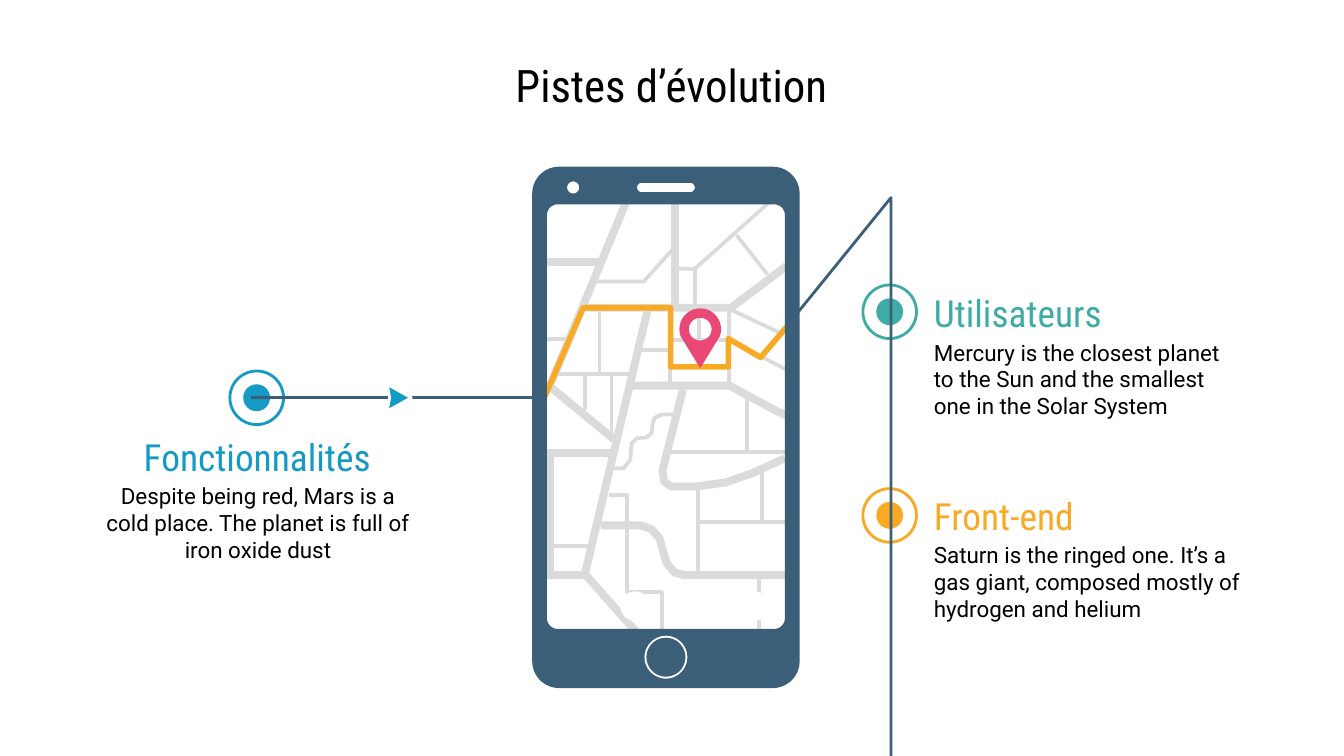
from math import cos, radians, sin

from lxml.etree import SubElement
from pptx import Presentation
from pptx.dml.color import RGBColor
from pptx.enum.shapes import MSO_CONNECTOR as Connector, MSO_SHAPE as Preset
from pptx.enum.text import MSO_ANCHOR as Anchor, PP_ALIGN as Align
from pptx.oxml.ns import qn
from pptx.util import Inches, Pt

COLORS = {"black": "000000", "white": "FFFFFF", "blue": "159AC6", "teal": "3FABA5",
          "orange": "F8AA25", "navy": "3C5F79", "gray": "DBDBDB", "pink": "E94974"}
RGB = {name: RGBColor.from_string(value) for name, value in COLORS.items()}

presentation = Presentation()
presentation.slide_width, presentation.slide_height = Inches(10), Inches(5.625)
slide = presentation.slides.add_slide(presentation.slide_layouts[6])
shapes = slide.shapes

# Square grid: 100 columns across the slide; every length below is in cells
CELL = presentation.slide_width // 100


def add_text(text, left, top, width, height, size=12, font="Roboto",
             color="black", align=Align.LEFT, anchor=Anchor.MIDDLE):
    box = shapes.add_textbox(*(round(n * CELL) for n in (left, top, width, height)))
    frame = box.text_frame
    frame.word_wrap = True
    frame.vertical_anchor = anchor
    frame.margin_left = frame.margin_right = frame.margin_top = frame.margin_bottom = CELL
    paragraph = frame.paragraphs[0]
    paragraph.alignment = align
    run = paragraph.add_run()
    run.text = text
    run.font.size, run.font.name = Pt(size), font
    run.font.color.rgb = RGB[color]


def add_outline(contours, fill=None, line=None, weight=1.5):
    """One freeform from several contours; filled ones are closed."""
    builder = None
    for contour in contours:
        (x, y), *rest = [(px * CELL, py * CELL) for px, py in contour]
        if builder is None:
            builder = shapes.build_freeform(x, y)
        else:
            builder.move_to(x, y)
        builder.add_line_segments(rest, close=fill is not None)
    shape = builder.convert_to_shape()
    shape.shadow.inherit = False
    if fill:
        shape.fill.solid()
        shape.fill.fore_color.rgb = RGB[fill]
    else:
        shape.fill.background()
    if line:
        shape.line.color.rgb = RGB[line]
        shape.line.width = Pt(weight)
    else:
        shape.line.fill.background()


# Title
CONDENSED = "Roboto Condensed"
add_text("Pistes d’évolution", 23.2, 4.2, 53.5, 4.2, size=24, font=CONDENSED,
         align=Align.CENTER)

# Topics: marker centre, heading box left/top/width, body left, alignment
topics = [
    ("Fonctionnalités", "Despite being red, Mars is a cold place. The planet is full of iron oxide dust",
     "blue", 19.1, 29.6, 9.5, 32.1, 19.3, 6.8, Align.CENTER),
    ("Utilisateurs", "Mercury is the closest planet to the Sun and the smallest one in the Solar System",
     "teal", 66.2, 23.2, 68.5, 21.4, 16.6, 68.5, Align.LEFT),
    ("Front-end", "Saturn is the ringed one. It’s a gas giant, composed mostly of hydrogen and helium",
     "orange", 66.2, 38.35, 68.5, 36.5, 16.6, 68.5, Align.LEFT),
]
# Preset shapes: kind, centre x, centre y, width, height, colour
presets = []
for heading, body, color, x, y, left, top, width, body_left, align in topics:
    add_text(body, body_left, top + 2.8, 24.8, 8.7, align=align, anchor=Anchor.TOP)
    add_text(heading, left, top, width, 3.7, size=20, font=CONDENSED, color=color, align=align)
    presets += [(Preset.OVAL, x, y, 2, 2, color), (Preset.DONUT, x, y, 4.2, 4.2, color)]
presets.append((Preset.RECTANGLE, 49.55, 31, 17.8, 31.8, "white"))  # screen
for kind, x, y, width, height, color in presets:
    shape = shapes.add_shape(kind, *(round(n * CELL) for n in
                             (x - width / 2, y - height / 2, width, height)))
    if kind == Preset.DONUT:
        shape.adjustments[0] = 0.05
    shape.shadow.inherit = False
    shape.fill.solid()
    shape.fill.fore_color.rgb = RGB[color]
    shape.line.fill.background()

# Street map: wide avenues and narrow lanes
avenues = [
    [(40.6, 19.5), (44.5, 19.5)],
    [(46.6, 15), (41, 28.5)],
    [(40.6, 28.5), (45.7, 32.7)],
    [(43.6, 22.9), (54.4, 22.9), (58.5, 19.8)],
    [(50.2, 15), (50.2, 22.9)],
    [(47, 28.7), (54.3, 28.7), (57.8, 30.6), (58.5, 30.9)],
    [(48.2, 23), (43.5, 42.8)],
    [(40.6, 33.7), (45.4, 33.7)],
    [(40.95, 33.7), (40.95, 42.8)],
    [(40.6, 42.8), (43.6, 42.8), (47.5, 47.2)],
    [(50.8, 29), (49.3, 35), (49.4, 35.8), (49.9, 36.2), (51.8, 36.2),
     (54, 35.9), (56, 35.2), (58.4, 34.1)],
    [(44.7, 39.1), (47.7, 39.1), (48.5, 39.4), (49.1, 40.1), (49.3, 40.9),
     (49.6, 41.9), (50.2, 42.6), (50.9, 42.8), (58.5, 42.8)],
]
lanes = [
    [(44.4, 20.95), (47.9, 20.95), (50.1, 18.5)],
    [(51.7, 22.7), (51.7, 20)],
    [(50.3, 20), (51.7, 20), (57.3, 15)],
    [(54.8, 17.5), (57.1, 20.4)],
    [(54.5, 23.1), (58, 24.75)],
    [(58.5, 24.3), (56.7, 26.4)],
    [(50, 25.3), (54.3, 25.3), (58.5, 27.5)],
    [(49.85, 23), (49.85, 28.5)],
    [(52, 23), (52, 27.2)],
    [(50, 27.25), (54.2, 27.25)],
    [(54.25, 23), (54.25, 28.7)],
    [(47.8, 26.05), (49.9, 26.05)],
    [(44.6, 23), (44.6, 27.9)],
    [(40.6, 25.25), (42.2, 25.25)],
    [(41.4, 27.85), (46.8, 27.85)],
    [(43.55, 27.9), (43.55, 30.5)],
    [(45.5, 27.9), (45.5, 32.2)],
    [(55.6, 29.5), (55.6, 33.6)],
    [(49.9, 33.65), (58.5, 33.65)],
    [(50.4, 30.85), (49.2, 30.85), (48.7, 31.1), (48.55, 31.6), (48.5, 32.2),
     (48.1, 32.55), (47.4, 32.6), (47, 33), (46.9, 34.2), (46.4, 34.85), (45.7, 34.85)],
    [(51.95, 36.3), (51.95, 42.6)],
    [(52, 38.85), (58.5, 38.85)],
    [(56.7, 35), (56.7, 38.8)],
    [(45.3, 36.85), (46.65, 36.85), (46.65, 44.05), (49.25, 44.05), (49.25, 47.2)],
    [(41, 40.65), (43.8, 40.65)],
    [(56.45, 42.8), (56.45, 47.2)],
]
add_outline(lanes, line="gray", weight=2)
add_outline(avenues, line="gray", weight=4.25)

# White patches over the lower streets, evenly spaced
for index in range(4):
    patch = shapes.add_shape(Preset.OVAL, round((41.7 + 4.45 * index) * CELL),
                             44 * CELL, round(2.2 * CELL), round(2.2 * CELL))
    patch.shadow.inherit = False
    patch.fill.solid()
    patch.fill.fore_color.rgb = RGB["white"]
    patch.line.fill.background()

# Highlighted route and the lines leading to the topics
add_outline([[(40.5, 29.6), (43.4, 22.9), (49.9, 22.9), (49.9, 27.3), (54.2, 27.3),
              (54.2, 25.2), (56.6, 26.6), (58.9, 23.9)]], line="orange", weight=3)
add_outline([[(59, 23.7), (66.3, 14.7), (66.3, 59.9)]], line="navy")
lead = shapes.add_connector(Connector.STRAIGHT, *(round(n * CELL) for n in (40.2, 29.6, 18.7, 29.6)))
lead.line.color.rgb = RGB["navy"]
lead.line.width = Pt(1.5)
SubElement(lead._element.spPr, qn("a:effectLst"))

# Phone frame with openings: left, top, right, bottom, corner radius
openings = [
    (39.6, 12.4, 59.5, 51.2, 2),         # body
    (40.7, 15.2, 58.4, 46.8, 0.8),       # screen
    (42.2, 13.5, 43.1, 14.4, 0.45),      # camera
    (47.4, 13.6, 51.7, 14.3, 0.35),      # speaker
    (47.95, 47.3, 51.15, 50.5, 1.6),     # home button
    (48.1, 47.45, 51, 50.35, 1.45),
]
frame_contours = []
for left, top, right, bottom, radius in openings:
    corners = [(right - radius, bottom - radius, 0), (left + radius, bottom - radius, 90),
               (left + radius, top + radius, 180), (right - radius, top + radius, 270)]
    frame_contours.append([
        (x + radius * cos(radians(start + turn)), y + radius * sin(radians(start + turn)))
        for x, y, start in corners for turn in range(0, 91, 10)])
add_outline(frame_contours, fill="navy")

# Map pin: round head, tapered tip, round hole
pin_x, pin_y = 52.1, 24.5
head = [(pin_x + 1.55 * cos(radians(angle)), pin_y + 1.55 * sin(radians(angle)))
        for angle in range(-200, 21, 10)]
hole = [(pin_x + 0.85 * cos(radians(angle)), pin_y + 0.85 * sin(radians(angle)))
        for angle in range(0, 360, 15)]
add_outline([head + [(pin_x, 27.4)], hole], fill="pink")

# Direction arrow on the lead line
add_outline([[(30.6, 29.6), (28.8, 28.6), (29, 29.6), (28.8, 30.6)]], fill="blue", line="white")

presentation.save("out.pptx")
